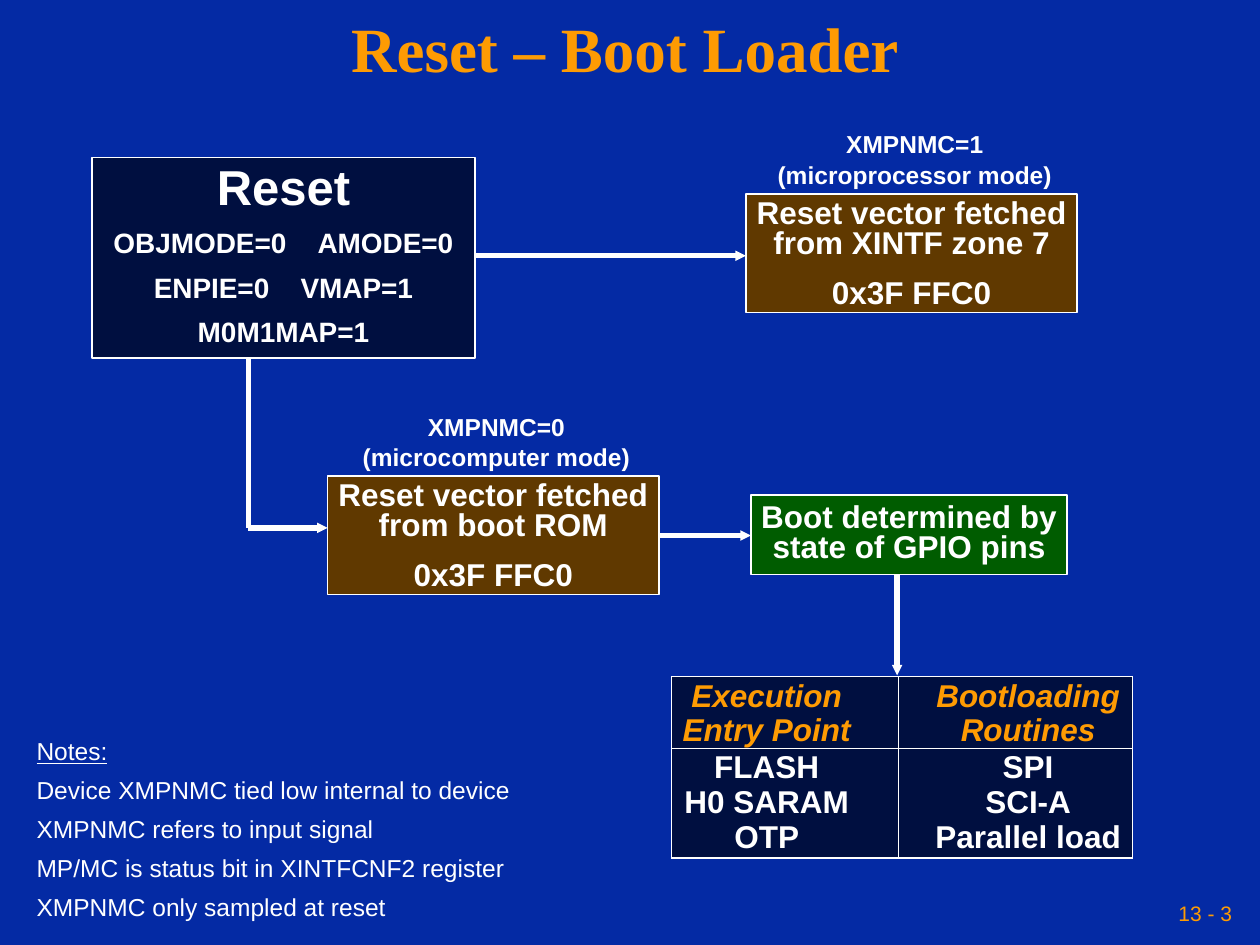
import pptx
import pptx.util
import pptx.dml.color
import pptx.enum.shapes
import pptx.enum.text
import pptx.oxml
import pptx.oxml.ns
from pptx.util import Inches

WHITE, ORANGE = "FFFFFF", "FE9B03"
BLUE, NAVY, BROWN, GREEN = "042AA4", "000F40", "603900", "005C00"
ALIGN = pptx.enum.text.PP_ALIGN
ANCHOR = pptx.enum.text.MSO_ANCHOR


def rgb(value):
    return pptx.dml.color.RGBColor.from_string(value)


def set_all(target, values):
    for name, value in values.items():
        setattr(target, name, value)


def add_child(parent, tag, **attributes):
    child = pptx.oxml.parse_xml(f"<a:{tag} {pptx.oxml.ns.nsdecls('a')}/>")
    for name, value in attributes.items():
        child.set(name, value)
    parent.append(child)
    return child


def set_frame(frame, left=0.05, top=0.05, right=0.05, bottom=0.05, anchor=ANCHOR.TOP):
    set_all(frame, {
        "word_wrap": True,
        "auto_size": pptx.enum.text.MSO_AUTO_SIZE.NONE,
        "vertical_anchor": anchor,
        "margin_left": Inches(left),
        "margin_top": Inches(top),
        "margin_right": Inches(right),
        "margin_bottom": Inches(bottom),
    })


def add_span(para, text, size, color=WHITE, font="Arial", **style):
    span = para.add_run()
    span.text = text
    set_all(span.font, {"name": font, "size": pptx.util.Pt(size), **style})
    span.font.color.rgb = rgb(color)
    return span


def write(frame, lines, size, spacing=0.8, before=0, align=ALIGN.CENTER, **style):
    for index, line in enumerate(lines):
        para = frame.add_paragraph() if index else frame.paragraphs[0]
        set_all(para, {
            "alignment": align,
            "line_spacing": spacing,
            "space_before": pptx.util.Pt(before if index else 0),
        })
        add_span(para, line, size, **style)


def add_text(page, place, lines, size, anchor=ANCHOR.TOP, **format_values):
    box = page.shapes.add_textbox(*map(Inches, place))
    set_frame(box.text_frame, anchor=anchor)
    write(box.text_frame, lines, size, **format_values)


def add_block(page, place, fill, top=0.05):
    block = page.shapes.add_shape(
        pptx.enum.shapes.MSO_SHAPE.RECTANGLE, *map(Inches, place))
    block.shadow.inherit = False
    block.fill.solid()
    block.fill.fore_color.rgb = rgb(fill)
    block.line.color.rgb = rgb(WHITE)
    block.line.width = pptx.util.Pt(1)
    set_frame(block.text_frame, top=top)
    return block.text_frame


def add_line(page, start, end, arrow=True):
    line = page.shapes.add_connector(
        pptx.enum.shapes.MSO_CONNECTOR.STRAIGHT, *map(Inches, start + end))
    line.line.color.rgb = rgb(WHITE)
    line.line.width = pptx.util.Pt(3)
    if arrow:
        add_child(line.line._get_or_add_ln(), "tailEnd",
                  type="triangle", w="sm", len="sm")
    add_child(line._element.spPr, "effectLst")


def add_title(page, text):
    title = page.shapes.title
    set_all(title, {"left": 0, "top": 0, "width": Inches(9.92), "height": Inches(0.83)})
    set_frame(title.text_frame, anchor=ANCHOR.MIDDLE)
    write(title.text_frame, [text], 36, spacing=0.9,
          color=ORANGE, font="Times New Roman", bold=True)


def add_reset_block(page):
    frame = add_block(page, (0.73, 1.25, 3.04, 1.59), NAVY, top=0.08)
    write(frame, ["Reset"], 28, bold=True)
    for settings in (("OBJMODE=0", "AMODE=0"), ("ENPIE=0", "VMAP=1"), ("M0M1MAP=1",)):
        para = frame.add_paragraph()
        set_all(para, {"alignment": ALIGN.CENTER, "line_spacing": 0.8,
                       "space_before": pptx.util.Pt(10)})
        for index, setting in enumerate(settings):
            if index:
                gap = add_span(para, " ", 16, bold=True)
                gap.font._element.set("spc", "1330")
            add_span(para, setting, 16, bold=True)


def add_vector(page, left, top, source, mode):
    frame = add_block(page, (left, top, 2.63, 0.94), BROWN)
    write(frame, [f"Reset vector fetched from {source}", "0x3F FFC0"], 18,
          before=11.2, bold=True)
    add_text(page, (left + 0.13, top - 0.46, 2.42, 0.46), mode, 14,
             spacing=0.5, before=8.8, bold=True)


def add_boot_table(page):
    widths, heights = (1.8, 1.86), (0.57, 0.87)
    rows = (
        (("Execution", "Entry Point"), ("Bootloading", "Routines")),
        (("FLASH", "H0 SARAM", "OTP"), ("SPI", "SCI-A", "Parallel load")),
    )
    styles = ({"color": ORANGE, "italic": True}, {"color": WHITE})
    sides = ({"left": 0, "right": 0.29}, {"left": 0.2, "right": 0})
    table = page.shapes.add_table(
        2, 2, *map(Inches, (5.33, 5.37, sum(widths), sum(heights)))).table
    for column, width in zip(table.columns, widths):
        column.width = Inches(width)
    for row, height, texts, style in zip(table.rows, heights, rows, styles):
        row.height = Inches(height)
        for cell, lines, side in zip(row.cells, texts, sides):
            properties = cell._tc.get_or_add_tcPr()
            for edge in ("lnL", "lnR", "lnT", "lnB"):
                border = add_child(properties, edge, w="12700")
                add_child(add_child(border, "solidFill"), "srgbClr", val=WHITE)
            cell.fill.solid()
            cell.fill.fore_color.rgb = rgb(NAVY)
            set_all(cell, {
                "margin_left": Inches(side["left"]),
                "margin_right": Inches(side["right"]),
                "margin_top": Inches(0.02),
                "margin_bottom": 0,
                "vertical_anchor": ANCHOR.TOP,
            })
            write(cell.text_frame, lines, 18, spacing=pptx.util.Pt(19.8),
                  bold=True, **style)


def main():
    deck = pptx.Presentation()
    deck.slide_width, deck.slide_height = Inches(10), Inches(7.5)
    page = deck.slides.add_slide(deck.slide_layouts[5])
    page.background.fill.solid()
    page.background.fill.fore_color.rgb = rgb(BLUE)

    add_title(page, "Reset – Boot Loader")
    add_reset_block(page)
    add_vector(page, 5.92, 1.54, "XINTF zone 7", ["XMPNMC=1", "(microprocessor mode)"])
    add_vector(page, 2.6, 3.78, "boot ROM", ["XMPNMC=0", "(microcomputer mode)"])
    boot = add_block(page, (5.96, 3.93, 2.51, 0.63), GREEN, top=0.07)
    write(boot, ["Boot determined by state of GPIO pins"], 18, bold=True)
    add_boot_table(page)

    add_line(page, (3.77, 2.03), (5.92, 2.03))
    add_line(page, (5.23, 4.25), (5.96, 4.25))
    add_line(page, (1.97, 2.85), (1.97, 4.19), arrow=False)
    add_line(page, (1.97, 4.19), (2.6, 4.19))
    add_line(page, (7.12, 4.56), (7.12, 5.36))

    notes_place = (0.24, 5.84, 4.1, 1.52)
    notes = [
        "Notes:",
        "Device XMPNMC tied low internal to device",
        "XMPNMC refers to input signal",
        "MP/MC is status bit in XINTFCNF2 register",
        "XMPNMC only sampled at reset",
    ]
    add_text(page, notes_place, notes, 14, before=8.8, align=ALIGN.LEFT)
    page.shapes[-1].text_frame.paragraphs[0].runs[0].font.underline = True
    add_text(page, (6.83, 7.08, 3, 0.33), ["13 - 3"], 12, anchor=ANCHOR.MIDDLE,
             spacing=1.0, align=ALIGN.RIGHT, color=ORANGE)
    deck.save("out.pptx")


if __name__ == "__main__":
    main()
